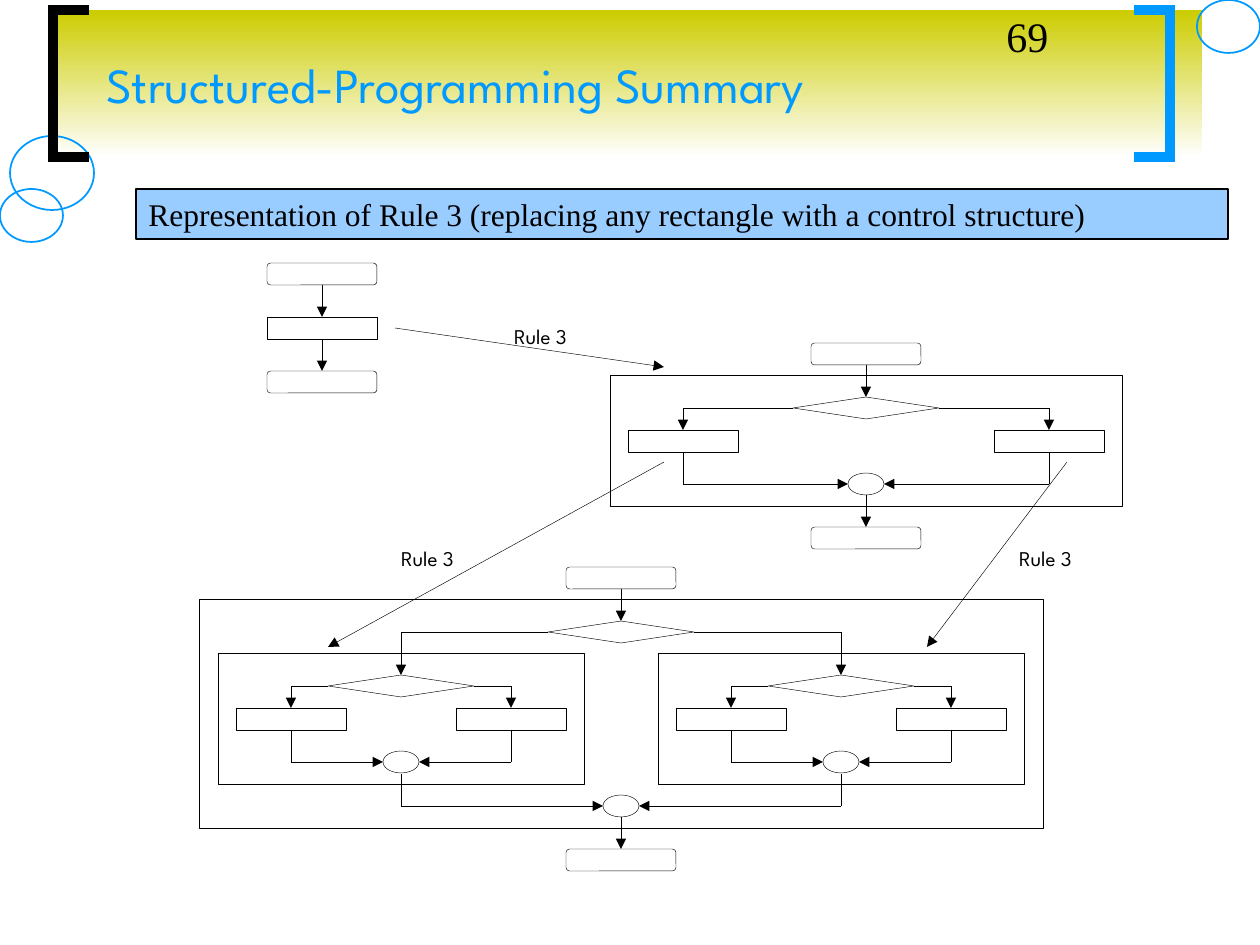
from dataclasses import dataclass

from lxml.etree import SubElement
from pptx import Presentation
from pptx.dml.color import RGBColor
from pptx.enum.shapes import MSO_CONNECTOR as Link, MSO_SHAPE as Kind
from pptx.enum.text import MSO_ANCHOR as Anchor, PP_ALIGN as Align
from pptx.oxml.ns import qn
from pptx.shapes.autoshape import Shape
from pptx.slide import Slide
from pptx.util import Emu, Pt

EMU_PER_PX = 914400 / 126


@dataclass(frozen=True)
class Theme:
    black: str = "000000"
    white: str = "FFFFFF"
    blue: str = "0099FF"
    pale_blue: str = "99CCFF"
    olive: str = "CCCC00"
    display: str = "League Spartan"
    serif: str = "Times New Roman"
    title_size: int = 28
    number_size: int = 24
    banner_size: int = 18
    label_size: int = 12
    thin: float = 0.25
    banner_line: float = 0.75
    ring_line: float = 1
    bracket_line: float = 6


@dataclass(frozen=True)
class Box:
    left: int
    top: int
    width: int
    height: int


@dataclass(frozen=True)
class Selection:
    center: int
    top: int
    reach: int
    branch_drop: int = 33
    branch_height: int = 22
    branch_half: int = 55
    plain_branches: bool = True

    @property
    def middle(self) -> int:
        return self.top + NODE_HEIGHT // 2

    @property
    def branch_top(self) -> int:
        return self.top + self.branch_drop

    @property
    def branch_bottom(self) -> int:
        return self.branch_top + self.branch_height

    @property
    def join(self) -> int:
        return self.branch_bottom + ARROW_LENGTH


THEME = Theme()
NODE_WIDTH, NODE_HEIGHT = 110, 22
DIAMOND_WIDTH, JOIN_WIDTH = 146, 36
ARROW_LENGTH = 32
FRAME_MARGIN = 18


def px(length: int) -> Emu:
    return Emu(round(length * EMU_PER_PX))


def color(code: str) -> RGBColor:
    return RGBColor.from_string(code)


def add_box(page: Slide, kind: Kind, box: Box, fill: str | None = None,
            line: str | None = THEME.black, weight: float = THEME.thin) -> Shape:
    shape = page.shapes.add_shape(
        kind, px(box.left), px(box.top), px(box.width), px(box.height))
    shape.shadow.inherit = False
    if fill:
        shape.fill.solid()
        shape.fill.fore_color.rgb = color(fill)
    else:
        shape.fill.background()
    if line:
        shape.line.color.rgb = color(line)
        shape.line.width = Pt(weight)
    else:
        shape.line.fill.background()
    return shape


def add_line(page: Slide, start: tuple[int, int], end: tuple[int, int],
             arrow: bool = True) -> None:
    line = page.shapes.add_connector(Link.STRAIGHT, *map(px, start + end))
    line.line.color.rgb = color(THEME.black)
    line.line.width = Pt(THEME.thin)
    if arrow:
        SubElement(line.line._get_or_add_ln(), qn("a:tailEnd"), type="triangle")
    SubElement(line._element.spPr, qn("a:effectLst"))


def write(shape: Shape, text: str, size: int, font: str, ink: str = THEME.black,
          anchor: Anchor = Anchor.TOP, inset: bool = True) -> None:
    frame = shape.text_frame
    frame.word_wrap = True
    frame.vertical_anchor = anchor
    if not inset:
        frame.margin_left = frame.margin_right = 0
        frame.margin_top = frame.margin_bottom = 0
    para = frame.paragraphs[0]
    para.alignment = Align.LEFT
    span = para.add_run()
    span.text = text
    span.font.size = Pt(size)
    span.font.name = font
    span.font.color.rgb = color(ink)


def add_text(page: Slide, box: Box, text: str, size: int, font: str, **style) -> None:
    shape = page.shapes.add_textbox(
        px(box.left), px(box.top), px(box.width), px(box.height))
    write(shape, text, size, font, **style)


def add_bracket(page: Slide, tip: int, spine: int, ink: str) -> None:
    top, bottom = 10, 157
    outline = page.shapes.build_freeform(tip, top, scale=EMU_PER_PX)
    outline.add_line_segments([(spine, top), (spine, bottom), (tip, bottom)], close=False)
    bracket = outline.convert_to_shape()
    bracket.shadow.inherit = False
    bracket.fill.background()
    bracket.line.color.rgb = color(ink)
    bracket.line.width = Pt(THEME.bracket_line)
    SubElement(bracket.line._get_or_add_ln(), qn("a:miter"), lim="800000")


def add_node(page: Slide, kind: Kind, center: int, top: int,
             width: int = NODE_WIDTH, fill: str | None = None) -> None:
    shape = add_box(page, kind, Box(center - width // 2, top, width, NODE_HEIGHT), fill)
    if kind == Kind.ROUNDED_RECTANGLE:
        shape.adjustments[0] = 0.17


def add_selection(page: Slide, part: Selection) -> None:
    half = part.reach + part.branch_half + FRAME_MARGIN
    top = part.top - NODE_HEIGHT
    bottom = part.join + NODE_HEIGHT
    add_box(page, Kind.RECTANGLE, Box(part.center - half, top, 2 * half, bottom - top))
    add_node(page, Kind.DIAMOND, part.center, part.top, DIAMOND_WIDTH, THEME.white)
    add_node(page, Kind.OVAL, part.center, part.join - NODE_HEIGHT // 2, JOIN_WIDTH)
    for side in (-1, 1):
        branch = part.center + side * part.reach
        corner = (branch, part.middle)
        turn = (branch, part.join)
        if part.plain_branches:
            add_node(page, Kind.RECTANGLE, branch, part.branch_top)
        add_line(page, (part.center + side * DIAMOND_WIDTH // 2, part.middle), corner, False)
        add_line(page, corner, (branch, part.branch_top))
        add_line(page, (branch, part.branch_bottom), turn, False)
        add_line(page, turn, (part.center + side * JOIN_WIDTH // 2, part.join))


def add_terminals(page: Slide, part: Selection) -> None:
    exit_top = part.join + NODE_HEIGHT // 2
    end_top = exit_top + ARROW_LENGTH
    start_bottom = part.top - ARROW_LENGTH
    add_node(page, Kind.ROUNDED_RECTANGLE, part.center, start_bottom - NODE_HEIGHT)
    add_line(page, (part.center, start_bottom), (part.center, part.top))
    add_line(page, (part.center, exit_top), (part.center, end_top))
    add_node(page, Kind.ROUNDED_RECTANGLE, part.center, end_top)


def add_sequence(page: Slide, center: int, top: int) -> None:
    kinds = (Kind.ROUNDED_RECTANGLE, Kind.RECTANGLE, Kind.ROUNDED_RECTANGLE)
    step = NODE_HEIGHT + ARROW_LENGTH
    for index, kind in enumerate(kinds):
        node_top = top + index * step
        add_node(page, kind, center, node_top)
        if index:
            add_line(page, (center, node_top - ARROW_LENGTH), (center, node_top))


def add_header(page: Slide) -> None:
    band = add_box(page, Kind.RECTANGLE, Box(53, 10, 1149, 147), line=None)
    band.fill.gradient()
    band.fill.gradient_angle = 90
    for stop, code in zip(band.fill.gradient_stops, (THEME.white, THEME.olive)):
        stop.color.rgb = color(code)
    for ring in (Box(10, 136, 84, 74), Box(0, 189, 63, 53), Box(1197, 0, 63, 53)):
        add_box(page, Kind.OVAL, ring, line=THEME.blue, weight=THEME.ring_line)
    add_bracket(page, 89, 53, THEME.black)
    add_bracket(page, 1134, 1170, THEME.blue)
    add_text(page, Box(94, 10, 1071, 147), "Structured-Programming Summary",
             THEME.title_size, THEME.display, ink=THEME.blue, anchor=Anchor.MIDDLE)
    add_text(page, Box(994, 4, 262, 63), "69", THEME.number_size, THEME.serif)
    banner = add_box(page, Kind.RECTANGLE, Box(136, 189, 1092, 50),
                     THEME.pale_blue, weight=THEME.banner_line)
    write(banner, "Representation of Rule 3 (replacing any rectangle with a control structure)",
          THEME.banner_size, THEME.serif)


def main() -> None:
    deck = Presentation()
    deck.slide_width, deck.slide_height = px(1260), px(945)
    page = deck.slides.add_slide(deck.slide_layouts[6])
    add_header(page)
    add_sequence(page, 322, 263)
    single = Selection(866, 397, 183)
    outer = Selection(621, 621, 220, branch_drop=54, branch_height=99,
                      branch_half=184, plain_branches=False)
    for part in (single, outer):
        add_selection(page, part)
        add_terminals(page, part)
    for side in (-1, 1):
        add_selection(page, Selection(outer.center + side * outer.reach, outer.branch_top, 110))
    for start, end in (((395, 328), (664, 367)), ((664, 462), (328, 647)),
                       ((1067, 462), (927, 647))):
        add_line(page, start, end)
    for left, top in ((514, 324), (1019, 545), (401, 545)):
        add_text(page, Box(left, top, 94, 22), "Rule 3",
                 THEME.label_size, THEME.display, inset=False)
    deck.save("out.pptx")


if __name__ == "__main__":
    main()
